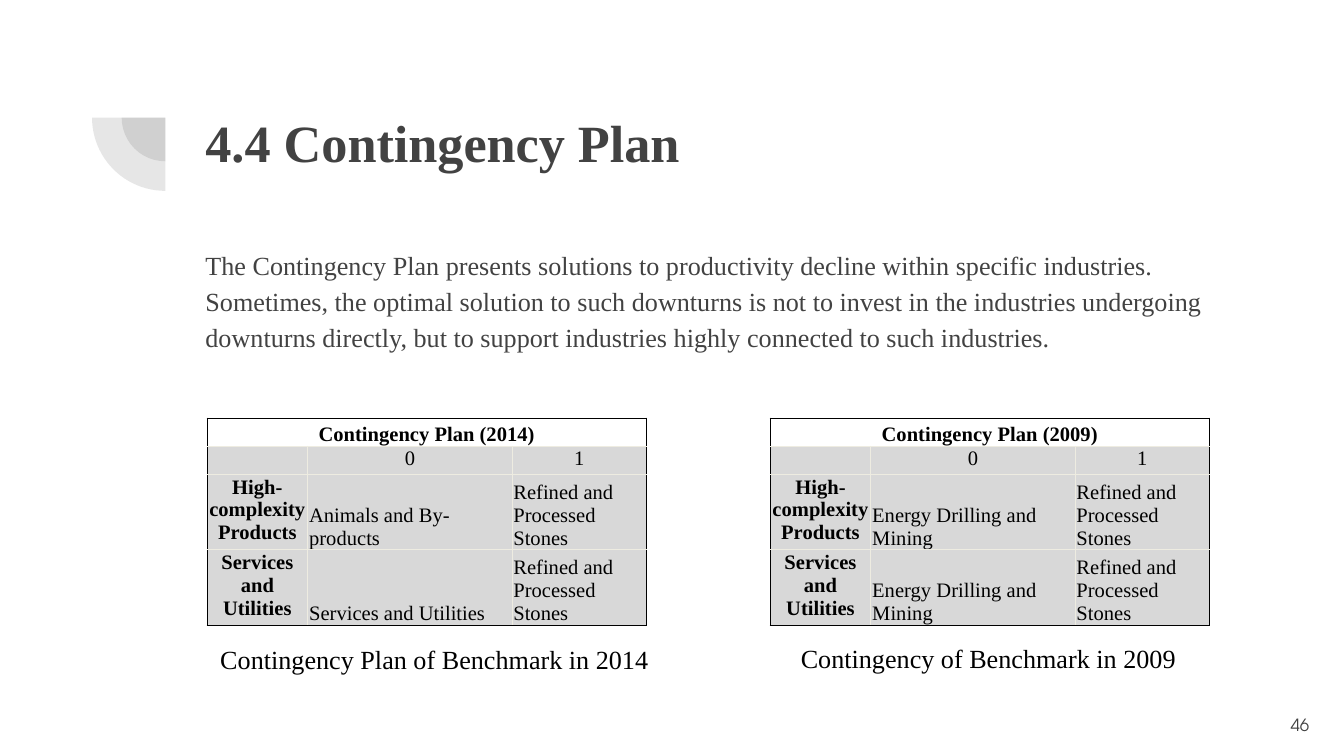
from dataclasses import dataclass

from lxml import etree
from pptx import Presentation
from pptx.dml.color import RGBColor
from pptx.enum.shapes import MSO_SHAPE
from pptx.enum.text import MSO_ANCHOR, PP_ALIGN
from pptx.oxml.ns import qn
from pptx.util import Inches, Pt

PIE = MSO_SHAPE.PIE
LEFT, CENTER, RIGHT = PP_ALIGN.LEFT, PP_ALIGN.CENTER, PP_ALIGN.RIGHT
TOP, MIDDLE, BOTTOM = MSO_ANCHOR.TOP, MSO_ANCHOR.MIDDLE, MSO_ANCHOR.BOTTOM

COLUMNS, ROWS = 100, 56.25  # grid units of a tenth of an inch


@dataclass(frozen=True)
class Theme:
    ink: str = "424242"
    black: str = "000000"
    white: str = "FFFFFF"
    cell: str = "D8D8D8"
    rule: str = "EEECE1"
    serif: str = "Times New Roman"
    sans: str = "TeX Gyre Adventor"
    title: float = 28
    body: float = 14
    table: float = 11
    number: float = 9
    border: float = 0.5


def units(value):
    return Inches(value / 10)


def write(frame, text, *, font, size, color, bold=False, align=LEFT,
          anchor=TOP, line_spacing=None, space_after=None):
    frame.vertical_anchor = anchor
    paragraph = frame.paragraphs[0]
    paragraph.alignment = align
    paragraph.line_spacing = line_spacing
    if space_after is not None:
        paragraph.space_after = Pt(space_after)
    if not text:  # keeps an empty line as low as a written one
        etree.SubElement(paragraph._p, qn("a:endParaRPr"), sz=str(int(size * 100)))
        return
    run = paragraph.add_run()
    run.text = text
    run.font.name = font
    run.font.size = Pt(size)
    run.font.bold = bold
    run.font.color.rgb = RGBColor.from_string(color)


class SlideBuilder:
    def __init__(self, presentation, theme):
        self.theme = theme
        self.slide = presentation.slides.add_slide(presentation.slide_layouts[6])

    def quarter(self, center_x, center_y, diameter):
        """Lower left quarter of a disc."""
        shape = self.slide.shapes.add_shape(
            PIE, units(center_x - diameter / 2), units(center_y - diameter / 2),
            units(diameter), units(diameter))
        shape.adjustments[0], shape.adjustments[1] = 108, 162
        shape.rotation = 270
        shape.shadow.inherit = False
        shape.line.fill.background()
        shape.fill.solid()
        shape.fill.fore_color.rgb = RGBColor.from_string(self.theme.ink)
        color = shape.fill._xPr.find(qn("a:solidFill"))[0]
        etree.SubElement(color, qn("a:alpha"), val="13000")

    def text(self, text, left, top, width, height, *, inset=1, wrap=True, **style):
        box = self.slide.shapes.add_textbox(
            units(left), units(top), units(width), units(height))
        frame = box.text_frame
        frame.word_wrap = wrap
        frame.margin_left = frame.margin_right = units(1)
        frame.margin_top = frame.margin_bottom = units(inset)
        write(frame, text, **style)

    def borders(self, cell, colors):
        properties = cell._tc.get_or_add_tcPr()
        for index, (side, color) in enumerate(colors.items()):
            line = etree.Element(qn(f"a:ln{side}"), w=str(Pt(self.theme.border)))
            fill = etree.SubElement(line, qn("a:solidFill"))
            etree.SubElement(fill, qn("a:srgbClr"), val=color)
            properties.insert(index, line)

    def table(self, rows, left, top, widths, heights):
        theme = self.theme
        table = self.slide.shapes.add_table(
            len(heights), len(widths), units(left), units(top),
            units(sum(widths)), units(sum(heights))).table
        table.first_row = table.horz_banding = False
        for column, width in zip(table.columns, widths):
            column.width = units(width)
        for row, height in zip(table.rows, heights):
            row.height = units(height)
        last_row, last_column = len(heights) - 1, len(widths) - 1
        for r, texts in enumerate(rows):
            for c, text in enumerate(texts):
                cell = table.cell(r, c)
                cell.margin_left = cell.margin_right = cell.margin_top = Inches(0.01)
                cell.margin_bottom = 0
                head = r == 0
                entry = r > 1 and c > 0
                write(cell.text_frame, text, font=theme.serif, size=theme.table,
                      color=theme.black, bold=head or (r > 1 and c == 0),
                      align=LEFT if entry else CENTER)
                cell.vertical_anchor = BOTTOM if head or entry else TOP
                cell.fill.solid()
                cell.fill.fore_color.rgb = RGBColor.from_string(
                    theme.white if head else theme.cell)
                # Black around the table, pale rules inside
                outer = {"L": c == 0, "R": head or c == last_column,
                         "T": head, "B": r == last_row}
                self.borders(cell, {side: theme.black if edge else theme.rule
                                    for side, edge in outer.items()})
        table.cell(0, 0).merge(table.cell(0, last_column))


def main():
    theme = Theme()
    presentation = Presentation()
    presentation.slide_width, presentation.slide_height = units(COLUMNS), units(ROWS)
    builder = SlideBuilder(presentation, theme)

    # Corner ornament
    for diameter in (6.5, 10.9):
        builder.quarter(12.3, 8.75, diameter)

    # Title and introduction
    prose = dict(font=theme.serif, color=theme.ink, line_spacing=1.15, space_after=16)
    builder.text("4.4 Contingency Plan", 14.3, 6.5, 76.9, 10.9,
                 size=theme.title, bold=True, **prose)
    builder.text(
        "The Contingency Plan presents solutions to productivity decline within "
        "specific industries. Sometimes, the optimal solution to such downturns is "
        "not to invest in the industries undergoing downturns directly, but to "
        "support industries highly connected to such industries.",
        14.3, 17.2, 76.9, 27.8, size=theme.body, **prose)

    # Slide number
    builder.text("46", COLUMNS - 7.6, 51.8, 6, 4.3, font=theme.sans,
                 size=theme.number, color=theme.ink, align=RIGHT, anchor=MIDDLE)

    # Plans: year, table left, the two first entries, caption and its place
    plans = (
        (2009, 57.3, "Energy Drilling and Mining", "Energy Drilling and Mining",
         "Contingency of Benchmark in 2009", (58.6, 47.3, 30.2, 3.4)),
        (2014, 15.4, "Animals and By-products", "Services and Utilities",
         "Contingency Plan of Benchmark in 2014", (15.4, 47.4, 34.2, 3.4)),
    )
    stones = "Refined and Processed Stones"
    for year, left, products, services, caption, place in plans:
        rows = ((f"Contingency Plan ({year})", "", ""),
                ("", "0", "1"),
                ("High-complexity Products", products, stones),
                ("Services and Utilities", services, stones))
        builder.table(rows, left, 31.1, (7.5, 15.2, 10), (2.1, 2.1, 5.2, 5.2))
        builder.text(caption, *place, inset=0.5, wrap=False, font=theme.serif,
                     size=theme.body, color=theme.black)

    presentation.save("out.pptx")


if __name__ == "__main__":
    main()
